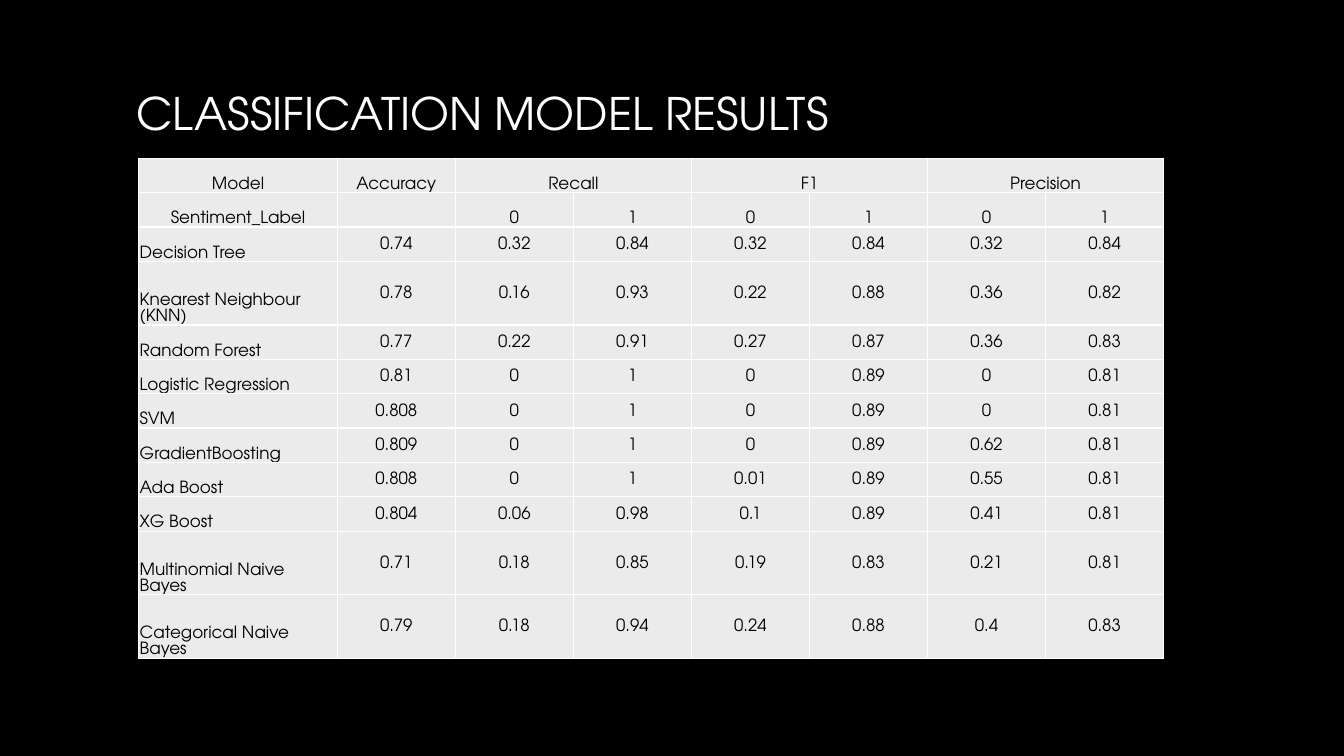
from pptx import Presentation
from pptx.dml.color import RGBColor
from pptx.enum.text import MSO_ANCHOR, PP_ALIGN
from pptx.oxml import parse_xml
from pptx.oxml.ns import nsdecls
from pptx.util import Cm, Pt

BLACK = RGBColor(0x00, 0x00, 0x00)
WHITE = RGBColor(0xFF, 0xFF, 0xFF)
SILVER = RGBColor(0xA6, 0xA6, 0xA6)
CELL_GRAY = RGBColor(0xEB, 0xEB, 0xEB)
FONT = "TeX Gyre Adventor"

HEADINGS = ["Model", "Accuracy", "Recall", "", "F1", "", "Precision", ""]
SUBHEADINGS = ["Sentiment_Label", "", "0", "1", "0", "1", "0", "1"]
RESULTS = [
    ("Decision Tree", "0.74 0.32 0.84 0.32 0.84 0.32 0.84"),
    ("Knearest Neighbour (KNN)", "0.78 0.16 0.93 0.22 0.88 0.36 0.82"),
    ("Random Forest", "0.77 0.22 0.91 0.27 0.87 0.36 0.83"),
    ("Logistic Regression", "0.81 0 1 0 0.89 0 0.81"),
    ("SVM", "0.808 0 1 0 0.89 0 0.81"),
    ("GradientBoosting", "0.809 0 1 0 0.89 0.62 0.81"),
    ("Ada Boost", "0.808 0 1 0.01 0.89 0.55 0.81"),
    ("XG Boost", "0.804 0.06 0.98 0.1 0.89 0.41 0.81"),
    ("Multinomial Naive Bayes", "0.71 0.18 0.85 0.19 0.83 0.21 0.81"),
    ("Categorical Naive Bayes", "0.79 0.18 0.94 0.24 0.88 0.4 0.83"),
]
HEADER_ROWS = 2
TWO_LINE_LENGTH = 20  # longer model names wrap onto a second line


def write_text(frame, text, size, color=None, align=PP_ALIGN.LEFT, spacing=None):
    """Write one formatted paragraph and return its run."""
    paragraph = frame.paragraphs[0]
    paragraph.alignment = align
    if spacing:
        paragraph.line_spacing = spacing
    run = paragraph.add_run()
    run.text = text
    run.font.name = FONT
    run.font.size = Pt(size)
    if color is not None:
        run.font.color.rgb = color
    return run


def add_title(slide, left, top, width, height):
    frame = slide.shapes.add_textbox(left, top, width, height).text_frame
    frame.word_wrap = True
    frame.vertical_anchor = MSO_ANCHOR.MIDDLE
    run = write_text(frame, "CLASSIFICATION MODEL RESULTS", 32)
    # White fading to silver, top to bottom
    fill = run.font.fill
    fill.gradient()
    fill.gradient_angle = 267
    for stop, color in zip(fill.gradient_stops, (WHITE, SILVER)):
        stop.color.rgb = color


def style_cell(cell):
    cell.margin_left = cell.margin_right = cell.margin_top = Cm(0.02)
    cell.margin_bottom = 0
    cell.fill.solid()
    cell.fill.fore_color.rgb = CELL_GRAY
    properties = cell._tc.get_or_add_tcPr()
    for index, side in enumerate(("lnL", "lnR", "lnT", "lnB")):
        properties.insert(index, parse_xml(
            f'<a:{side} {nsdecls("a")} w="{Pt(1)}"><a:solidFill>'
            f'<a:srgbClr val="{WHITE}"/></a:solidFill></a:{side}>'))


def add_results_table(slide, left, top, width, height):
    rows = [HEADINGS, SUBHEADINGS]
    rows += [[model] + values.split() for model, values in RESULTS]
    table = slide.shapes.add_table(
        len(rows), len(HEADINGS), left, top, width, height).table

    # Column widths: a wide model column, the rest equal
    model_width = Cm(5)
    for index, column in enumerate(table.columns):
        column.width = (model_width if index == 0
                        else (width - model_width) // (len(HEADINGS) - 1))

    # Row heights: taller where the model name wraps
    tall = Cm(1.6)
    wraps = [len(row[0]) > TWO_LINE_LENGTH for row in rows]
    low = (height - tall * sum(wraps)) // (len(rows) - sum(wraps))
    for row, wrapped in zip(table.rows, wraps):
        row.height = tall if wrapped else low

    # Cells
    for row_index, row in enumerate(rows):
        for column_index, text in enumerate(row):
            cell = table.cell(row_index, column_index)
            is_header = row_index < HEADER_ROWS
            is_model = column_index == 0
            style_cell(cell)
            cell.vertical_anchor = (MSO_ANCHOR.BOTTOM if is_header or is_model
                                    else MSO_ANCHOR.MIDDLE)
            align = (PP_ALIGN.LEFT if is_model and not is_header
                     else PP_ALIGN.CENTER)
            write_text(cell.text_frame, text, 12, color=BLACK, align=align,
                       spacing=Pt(11.5))

    # Each metric heading spans its two label columns
    for first in range(2, len(HEADINGS), 2):
        table.cell(0, first).merge(table.cell(0, first + 1))


def main():
    presentation = Presentation()
    presentation.slide_width = Cm(33.87)
    presentation.slide_height = Cm(19.05)
    slide = presentation.slides.add_slide(presentation.slide_layouts[6])
    slide.background.fill.solid()
    slide.background.fill.fore_color.rgb = BLACK
    add_title(slide, Cm(3.18), Cm(1.7), Cm(27.5), Cm(2.29))
    add_results_table(slide, Cm(3.5), Cm(3.99), Cm(25.83), Cm(12.6))
    presentation.save("out.pptx")


if __name__ == "__main__":
    main()
